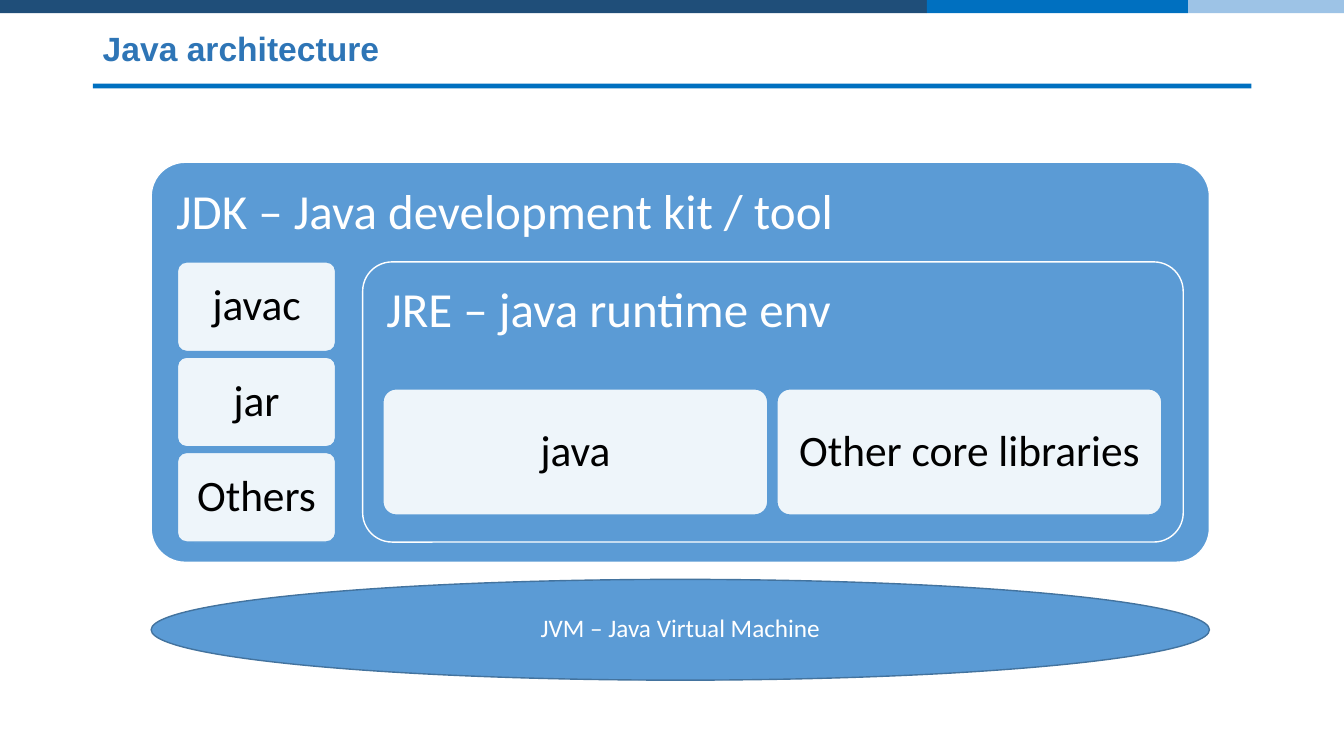
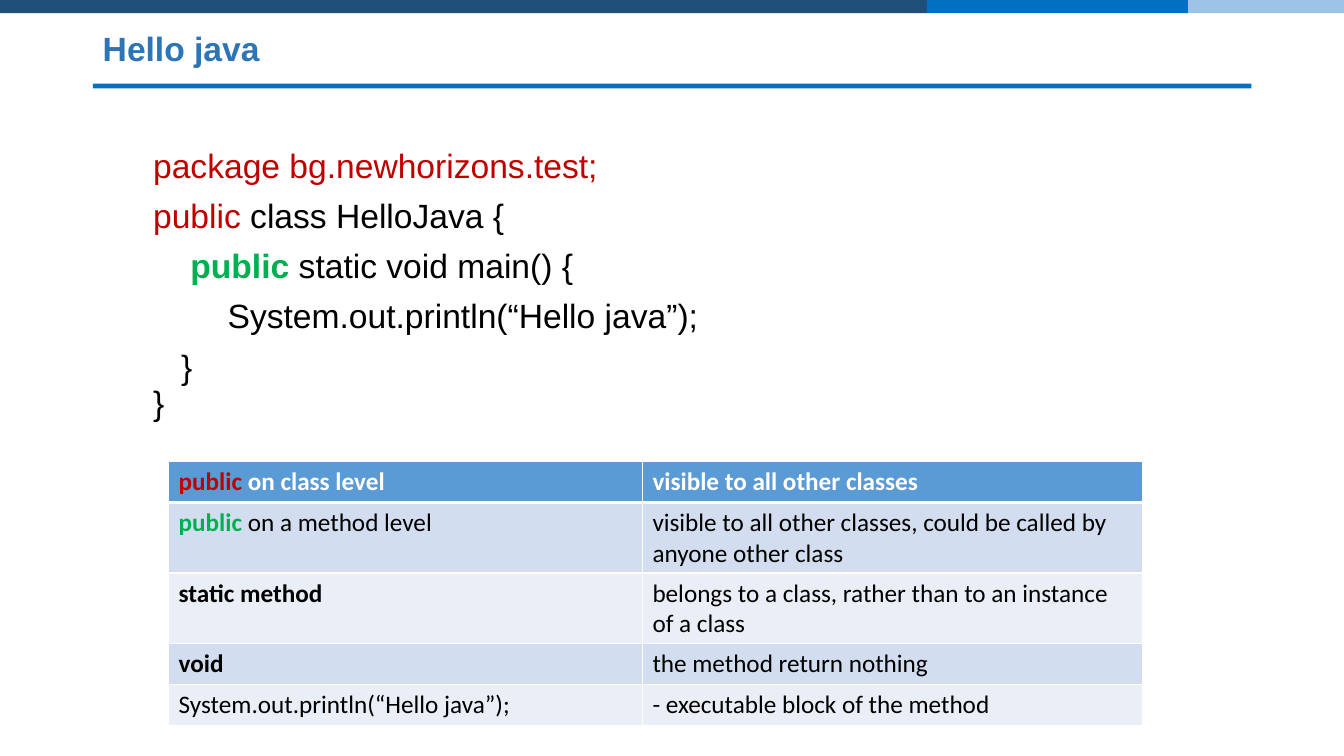
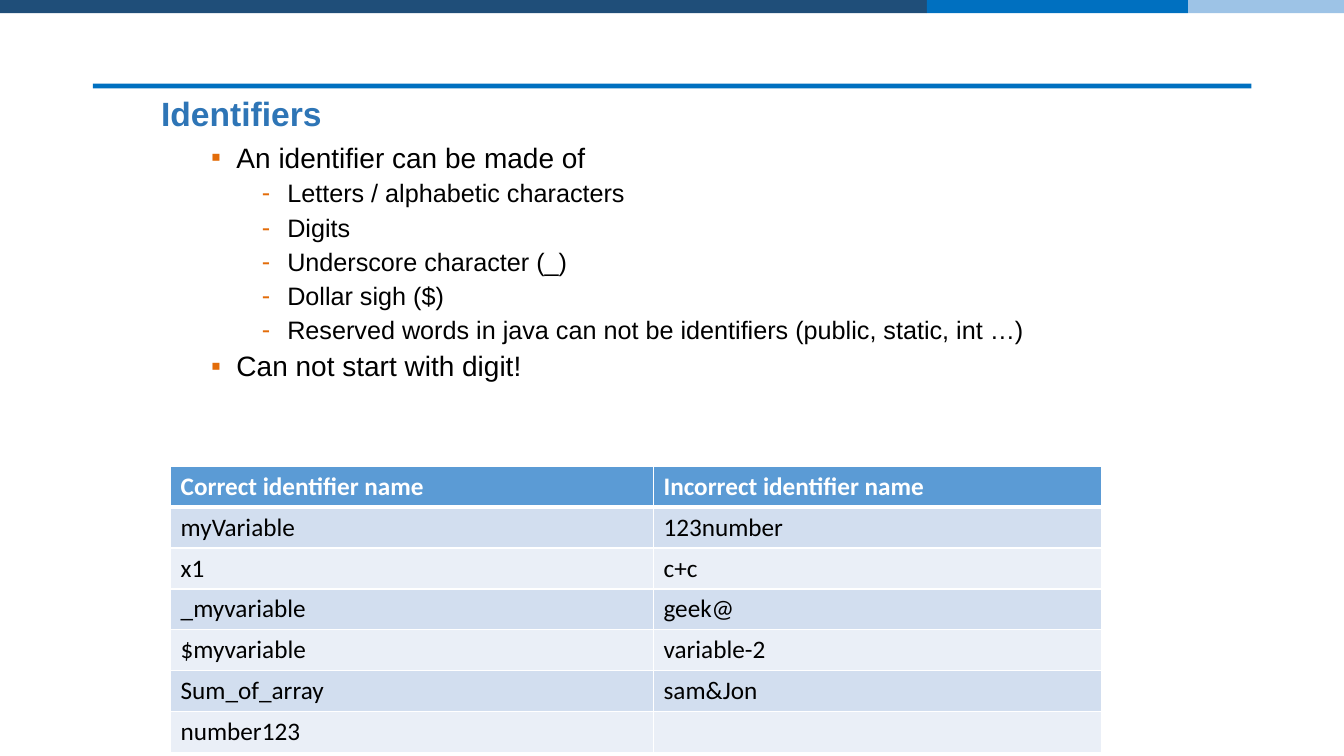
from lxml.etree import SubElement
from pptx import Presentation
from pptx.dml.color import RGBColor
from pptx.enum.shapes import MSO_SHAPE
from pptx.enum.text import MSO_ANCHOR, PP_ALIGN
from pptx.oxml.ns import qn
from pptx.util import Cm, Pt

COLORS = {
    "navy": "1F4E79", "blue": "0070C0", "pale": "9DC3E6", "title": "2E75B6",
    "panel": "5B9BD5", "outline": "43739E", "white": "FFFFFF", "black": "000000",
    "red": "C00000", "green": "00B050", "bullet": "E36C09",
    "odd_row": "D2DEEF", "even_row": "EAEFF7",
}
HEADING, BODY = "Arial", "Calibri"
BANDS = [("navy", 23.36), ("blue", 6.58), ("pale", 3.93)]
RULE_BOX = (2.34, 2.11, 29.2, 0.12)
TITLE_BOX = (2.34, 0.61, 29.2, 1.32)

PANELS = [
    ("JDK – Java development kit / tool", (3.81, 4.09, 26.67, 10.08), 0.085),
    ("JRE – java runtime env", (9.14, 6.6, 20.68, 7.06), 0.105),
]
TILE_GROUPS = [
    (["javac", "jar", "Others"], (4.47, 6.6, 3.99, 2.26), (0, 2.4)),
    (["java", "Other core libraries"], (9.65, 9.8, 9.7, 3.18), (9.93, 0)),
]
MACHINE = ("JVM – Java Virtual Machine", (3.81, 14.6, 26.67, 2.54))

CODE_BOX = (3.61, 3.63, 26.67, 7.6)
CODE_LINES = [
    (0, [("package bg.newhorizons.test;", "red", False)]),
    (10, [("public", "red", False), (" class HelloJava {", "black", False)]),
    (10, [("    ", "black", False), ("public", "green", True),
          (" static void main() {", "black", False)]),
    (10, [("        System.out.println(“Hello java”);", "black", False)]),
    (10, [("   }", "black", False)]),
    (0, [("}", "black", False)]),
]
KEYWORD_TABLE = {
    "origin": (4.25, 11.63),
    "widths": (11.94, 12.6),
    "rows": [
        ([("public", "red", True), (" on class level", "white", True)],
         "visible to all other classes"),
        ([("public", "green", True), (" on a method level", "black", False)],
         "visible to all other classes, could be called by anyone other class"),
        ([("static method", "black", True)],
         "belongs to a class, rather than to an instance of a class"),
        ([("void", "black", True)], "the method return nothing"),
        ("System.out.println(“Hello java”);", "- executable block of the method"),
    ],
}

IDENTIFIER_TITLE_BOX = (3.81, 0.86, 26.67, 4.11)
RULES_BOX = (3.81, 3.5, 26.67, 7.6)
BULLET_LEVELS = {1: ("▪", 1.9, 20), 2: ("-", 3.18, 18)}
IDENTIFIER_RULES = [
    (1, "An identifier can be made of"),
    (2, "Letters / alphabetic characters"),
    (2, "Digits"),
    (2, "Underscore character (_)"),
    (2, "Dollar sigh ($)"),
    (2, "Reserved words in java can not be identifiers (public, static, int …)"),
    (1, "Can not start with digit!"),
]
IDENTIFIER_TABLE = {
    "origin": (4.3, 11.75),
    "widths": (12.17, 11.28),
    "rows": [
        ("Correct identifier name", "Incorrect identifier name"),
        ("myVariable", "123number"),
        ("x1", "c+c"),
        ("_myvariable", "geek@"),
        ("$myvariable", "variable-2"),
        ("Sum_of_array", "sam&Jon"),
        ("number123", ""),
    ],
}
ROW_HEIGHT = 1.03


def rgb(name):
    return RGBColor.from_string(COLORS[name])


def place(box):
    return [Cm(value) for value in box]


def write(paragraph, runs, size, font):
    for text, color, bold in runs:
        run = paragraph.add_run()
        run.text = text
        run.font.name = font
        run.font.size = Pt(size)
        run.font.bold = bold
        run.font.color.rgb = rgb(color)


def add_block(slide, kind, box, fill, line=None, radius=None):
    shape = slide.shapes.add_shape(kind, *place(box))
    shape.shadow.inherit = False
    shape.fill.solid()
    shape.fill.fore_color.rgb = rgb(fill)
    if line:
        shape.line.color.rgb = rgb(line)
        shape.line.width = Pt(1)
    else:
        shape.line.fill.background()
    if radius is not None:
        shape.adjustments[0] = radius
    return shape


def label(shape, text, size, color, align, anchor, inset):
    frame = shape.text_frame
    frame.word_wrap = True
    frame.vertical_anchor = anchor
    frame.margin_left = frame.margin_right = Cm(inset)
    frame.margin_top = frame.margin_bottom = Cm(inset)
    paragraph = frame.paragraphs[0]
    paragraph.alignment = align
    paragraph.line_spacing = 0.9
    write(paragraph, [(text, color, False)], size, BODY)


def add_text(slide, box, anchor=MSO_ANCHOR.TOP):
    frame = slide.shapes.add_textbox(*place(box)).text_frame
    frame.word_wrap = True
    frame.vertical_anchor = anchor
    return frame


def next_paragraph(frame, index, space):
    paragraph = frame.add_paragraph() if index else frame.paragraphs[0]
    paragraph.line_spacing = 0.9
    if index:
        paragraph.space_before = Pt(space)
    return paragraph


def add_slide(presentation, title, title_box=TITLE_BOX):
    slide = presentation.slides.add_slide(presentation.slide_layouts[6])
    left = 0
    for color, width in BANDS:
        add_block(slide, MSO_SHAPE.RECTANGLE, (left, 0, width, 0.33), color)
        left += width
    add_block(slide, MSO_SHAPE.RECTANGLE, RULE_BOX, "blue")
    frame = add_text(slide, title_box, MSO_ANCHOR.MIDDLE)
    write(next_paragraph(frame, 0, 0), [(title, "title", True)], 24, HEADING)
    return slide


def set_bullet(paragraph, character, indent):
    properties = paragraph._p.get_or_add_pPr()
    properties.set("marL", str(Cm(indent)))
    properties.set("indent", str(-Cm(0.64)))
    color = SubElement(properties, qn("a:buClr"))
    SubElement(color, qn("a:srgbClr"), val=COLORS["bullet"])
    SubElement(properties, qn("a:buFont"), typeface=HEADING)
    SubElement(properties, qn("a:buChar"), char=character)


def set_borders(cell, row):
    properties = cell._tc.get_or_add_tcPr()
    widths = {"lnL": 1, "lnR": 1, "lnT": 3 if row == 1 else 1, "lnB": 3 if row == 0 else 1}
    for side, width in widths.items():
        border = SubElement(properties, qn("a:" + side), w=str(Pt(width)))
        fill = SubElement(border, qn("a:solidFill"))
        SubElement(fill, qn("a:srgbClr"), val=COLORS["white"])


def add_grid(slide, content):
    rows, widths = content["rows"], content["widths"]
    box = (*content["origin"], sum(widths), ROW_HEIGHT * len(rows))
    table = slide.shapes.add_table(len(rows), len(widths), *place(box)).table
    for column, width in zip(table.columns, widths):
        column.width = Cm(width)
    for row, values in enumerate(rows):
        table.rows[row].height = Cm(ROW_HEIGHT)
        header = row == 0
        fill = "panel" if header else "odd_row" if row % 2 else "even_row"
        for column, value in enumerate(values):
            cell = table.cell(row, column)
            set_borders(cell, row)
            cell.fill.solid()
            cell.fill.fore_color.rgb = rgb(fill)
            if isinstance(value, str):
                value = [(value, "white" if header else "black", header)] if value else []
            write(cell.text_frame.paragraphs[0], value, 18, BODY)


def build_architecture(presentation):
    slide = add_slide(presentation, "Java architecture")
    for text, box, radius in PANELS:
        panel = add_block(slide, MSO_SHAPE.ROUNDED_RECTANGLE, box, "panel", "white", radius)
        label(panel, text, 35, "white", PP_ALIGN.LEFT, MSO_ANCHOR.TOP, 0.38)
    for names, (left, top, width, height), (step_x, step_y) in TILE_GROUPS:
        for index, name in enumerate(names):
            box = (left + index * step_x, top + index * step_y, width, height)
            tile = add_block(slide, MSO_SHAPE.ROUNDED_RECTANGLE, box, "white", "panel", 0.105)
            color = tile._element.spPr.find(qn("a:solidFill")).find(qn("a:srgbClr"))
            SubElement(color, qn("a:alpha"), val="90000")
            label(tile, name, 31, "black", PP_ALIGN.CENTER, MSO_ANCHOR.MIDDLE, 0.3)
    text, box = MACHINE
    machine = add_block(slide, MSO_SHAPE.OVAL, box, "panel", "outline")
    label(machine, text, 18, "white", PP_ALIGN.CENTER, MSO_ANCHOR.MIDDLE, 0.2)


def build_hello(presentation):
    slide = add_slide(presentation, "Hello java")
    frame = add_text(slide, CODE_BOX)
    for index, (space, runs) in enumerate(CODE_LINES):
        write(next_paragraph(frame, index, space), runs, 24, HEADING)
    add_grid(slide, KEYWORD_TABLE)


def build_identifiers(presentation):
    slide = add_slide(presentation, "Identifiers", IDENTIFIER_TITLE_BOX)
    frame = add_text(slide, RULES_BOX)
    for index, (level, text) in enumerate(IDENTIFIER_RULES):
        character, indent, size = BULLET_LEVELS[level]
        paragraph = next_paragraph(frame, index, 5)
        paragraph.level = level
        set_bullet(paragraph, character, indent)
        write(paragraph, [(text, "black", False)], size, HEADING)
    add_grid(slide, IDENTIFIER_TABLE)


def main():
    presentation = Presentation()
    presentation.slide_width = Cm(33.87)
    presentation.slide_height = Cm(19.05)
    build_architecture(presentation)
    build_hello(presentation)
    build_identifiers(presentation)
    presentation.save("out.pptx")


if __name__ == "__main__":
    main()
